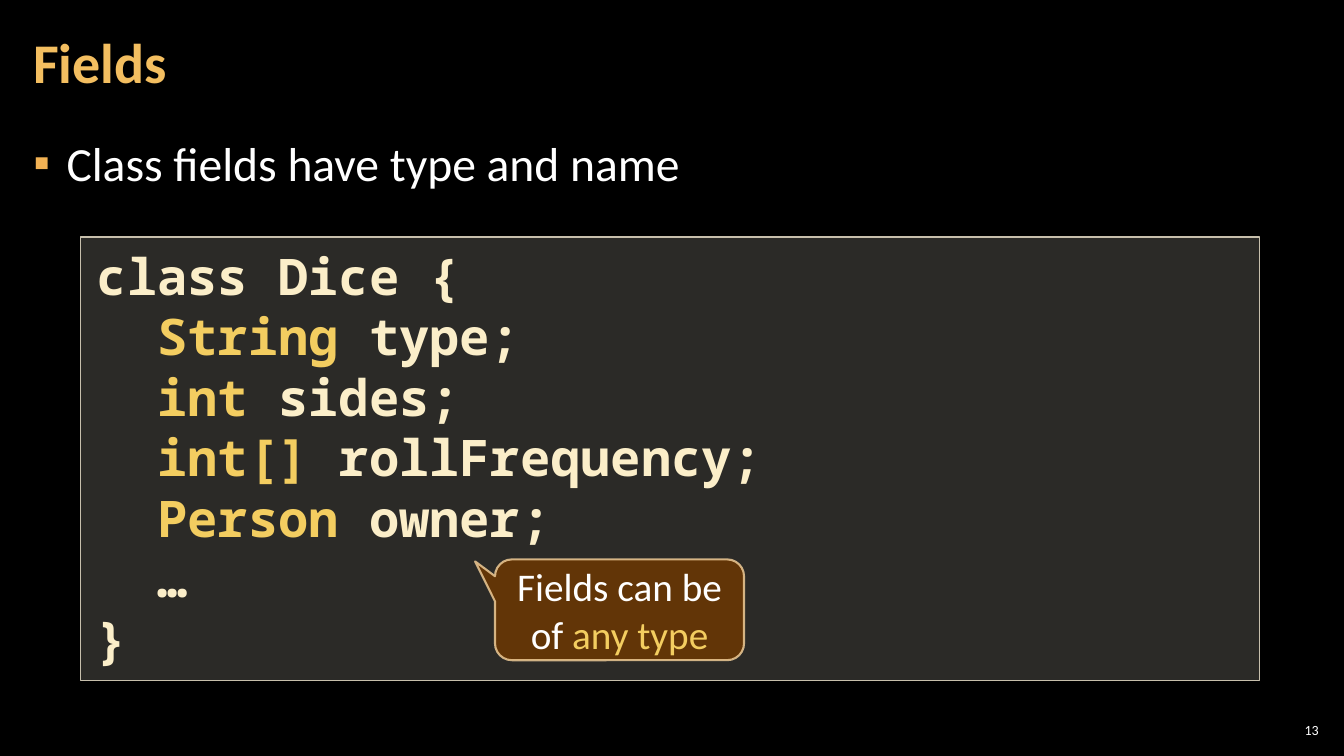
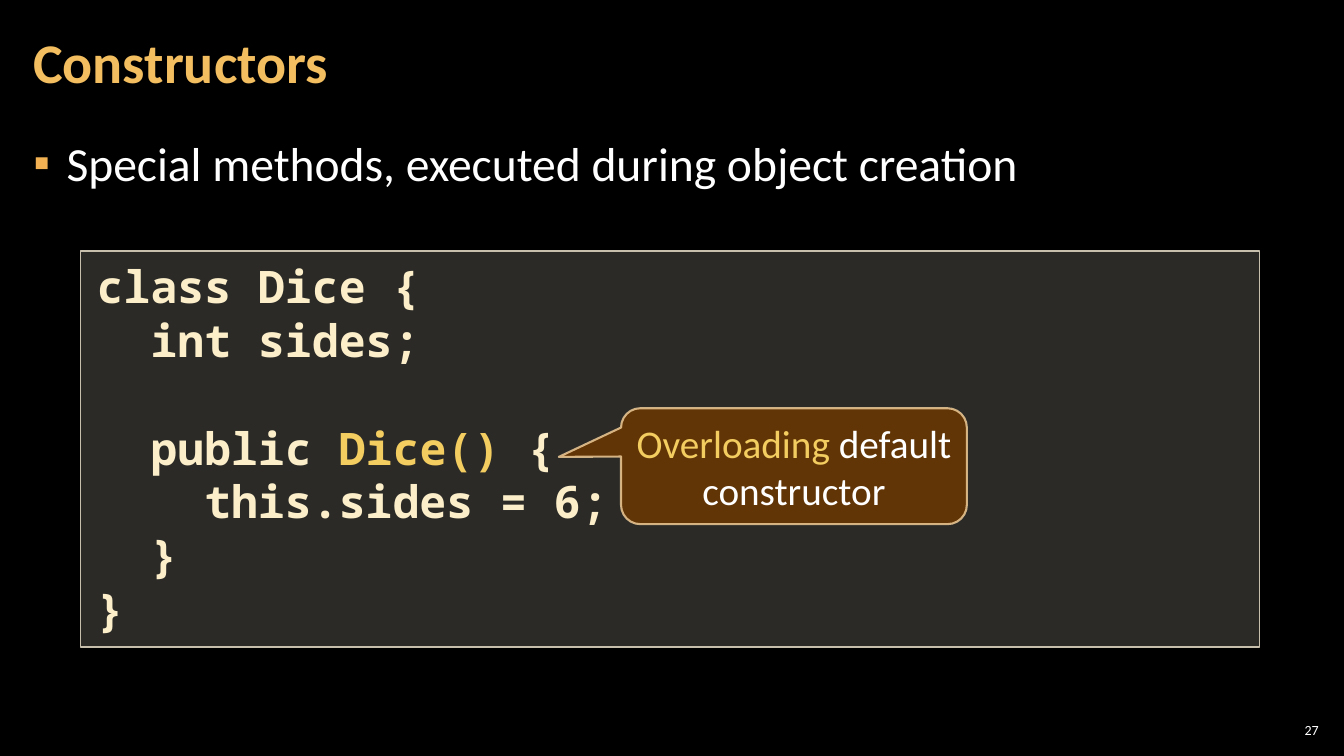
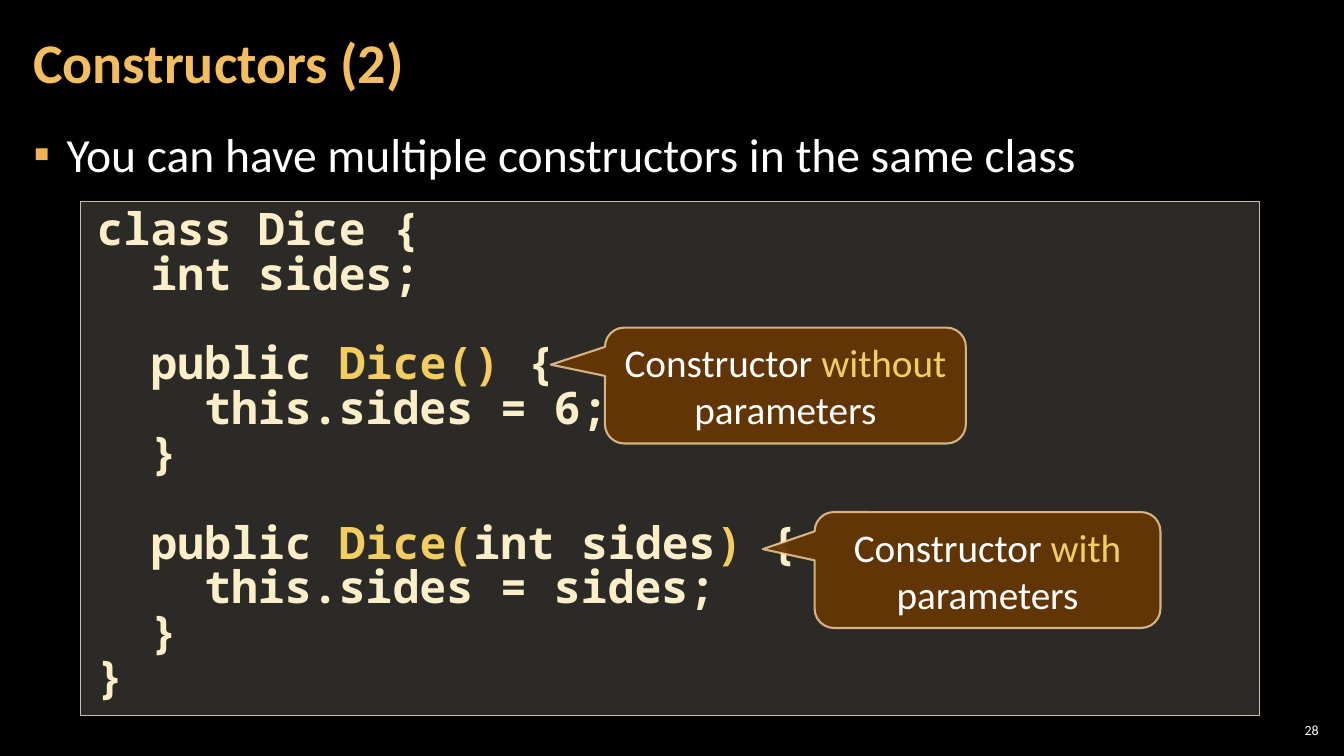
"""Three slides on class fields and constructors."""
import lxml.etree
import pptx
import pptx.dml.color
import pptx.enum.shapes
import pptx.enum.text
import pptx.oxml.ns
import pptx.util

Inches, Pt = pptx.util.Inches, pptx.util.Pt
SHAPE = pptx.enum.shapes.MSO_SHAPE
ANCHOR = pptx.enum.text.MSO_ANCHOR
ALIGN = pptx.enum.text.PP_ALIGN
qn = pptx.oxml.ns.qn

BLACK, WHITE = "000000", "FFFFFF"
TITLE, BULLET = "F3BE60", "F2B254"
CODE, ACCENT = "FBEEC9", "F3CD60"
BOX_FILL, BOX_LINE = "D9D5C7", "C7BFAC"
CALLOUT_FILL, CALLOUT_LINE = "663606", "F8D49E"
SANS, MONO = "Calibri", "Noto Sans Mono"

FIELDS = """class Dice {
  |String| type;
  |int| sides;
  |int[]| rollFrequency;
  |Person| owner;
  …
}"""

DEFAULT = """class Dice {
  int sides;

  public |Dice()| {
    this.sides = 6;
  }
"""

WITH_PARAMETERS = """
  public |Dice(|int sides|)| {
    this.sides = sides;
  }
"""


def rgb(color):
    """Turn a hex string into a colour."""
    return pptx.dml.color.RGBColor.from_string(color)


def place(sp, left, top, width, height):
    """Move and size a shape, in inches."""
    sp.left, sp.top = Inches(left), Inches(top)
    sp.width, sp.height = Inches(width), Inches(height)


def frame(sp, x, y, anchor):
    """Set the insets and anchor of a shape and return its text frame."""
    tf = sp.text_frame
    tf.word_wrap = True
    tf.auto_size = pptx.enum.text.MSO_AUTO_SIZE.NONE
    tf.vertical_anchor = anchor
    tf.margin_left = tf.margin_right = Inches(x)
    tf.margin_top = tf.margin_bottom = Inches(y)
    return tf


def add_runs(p, text, size, color, font=SANS, bold=False, align=ALIGN.LEFT):
    """Add text run by run; parts between bars take the accent colour."""
    p.alignment = align
    for i, part in enumerate(text.split("|")):
        if part:
            r = p.add_run()
            r.text = part
            r.font.name, r.font.size, r.font.bold = font, Pt(size), bold
            r.font.color.rgb = rgb(ACCENT if i % 2 else color)


def paint(sp, fill, line, width, fill_alpha, line_alpha=100):
    """Give a shape its fill, line and opacity in percent."""
    sp.shadow.inherit = False
    sp.fill.solid()
    sp.fill.fore_color.rgb = rgb(fill)
    sp.line.color.rgb = rgb(line)
    sp.line.width = Pt(width)
    colors = sp.element.spPr.iter(qn("a:srgbClr"))
    for clr, alpha in zip(list(colors), (fill_alpha, line_alpha)):
        lxml.etree.SubElement(clr, qn("a:alpha"), val=str(alpha * 1000))


def add_bullet(p):
    """Give a paragraph a hanging square bullet."""
    pPr = p._p.get_or_add_pPr()
    pPr.set("marL", str(Inches(0.33)))
    pPr.set("indent", str(-Inches(0.33)))
    clr = lxml.etree.SubElement(pPr, qn("a:buClr"))
    lxml.etree.SubElement(clr, qn("a:srgbClr"), val=BULLET)
    lxml.etree.SubElement(pPr, qn("a:buChar"), char="▪")


def add_slide(prs, title, bullet, number, body_top=1.26):
    """Add a slide with its title, bullet and number."""
    s = prs.slides.add_slide(prs.slide_layouts[1])
    sp = s.shapes.title
    place(sp, 0.21, 0.04, 10.47, 1.21)
    p = frame(sp, 0.12, 0.04, ANCHOR.MIDDLE).paragraphs[0]
    p.line_spacing = 0.9
    add_runs(p, title, 40, TITLE, bold=True)

    sp = s.placeholders[1]
    place(sp, 0.21, body_top, 12.91, 6.09)
    p = frame(sp, 0.12, 0.04, ANCHOR.TOP).paragraphs[0]
    p.line_spacing = 1.05
    p.space_before = p.space_after = Pt(6)
    add_bullet(p)
    add_runs(p, bullet, 34, WHITE)

    sp = s.shapes.add_textbox(*map(Inches, (12.65, 7.14, 0.47, 0.21)))
    p = frame(sp, 0.04, 0.04, ANCHOR.MIDDLE).paragraphs[0]
    add_runs(p, str(number), 10, WHITE, align=ALIGN.RIGHT)
    return s


def add_code(s, code, top, height, size, pitch=None):
    """Add a code box; margins make the indents and spacing the empty lines."""
    sp = s.shapes.add_shape(SHAPE.RECTANGLE, *map(Inches, (0.8, top, 11.69, height)))
    paint(sp, BOX_FILL, BOX_LINE, 1, 20)
    tf = frame(sp, 0.16, 0.08, ANCHOR.TOP)
    p, gap = tf.paragraphs[0], False
    for i, line in enumerate(code.split("\n")):
        if not line:
            gap = True
            continue
        if i:
            p = tf.add_paragraph()
        text = line.lstrip()
        indent = len(line) - len(text)
        p._p.get_or_add_pPr().set("marL", str(Pt(indent * size * 0.6)))
        if pitch:
            p.line_spacing = Pt(pitch)
        if gap:
            p.space_before = Pt(pitch or size * 1.2)
        gap = False
        add_runs(p, text, size, CODE, MONO, True)


def add_callout(s, text, left, top, width, height, tip):
    """Add a rounded callout whose tip is given relative to its centre."""
    sp = s.shapes.add_shape(SHAPE.ROUNDED_RECTANGULAR_CALLOUT,
                            *map(Inches, (left, top, width, height)))
    sp.adjustments[0], sp.adjustments[1] = tip
    paint(sp, CALLOUT_FILL, CALLOUT_LINE, 1.5, 95, 80)
    p = frame(sp, 0.1, 0.05, ANCHOR.MIDDLE).paragraphs[0]
    add_runs(p, text, 28, WHITE, align=ALIGN.CENTER)


def main():
    """Build and save the slides."""
    prs = pptx.Presentation()
    prs.slide_width, prs.slide_height = Inches(13.33), Inches(7.5)
    background = prs.slide_master.background.fill
    background.solid()
    background.fore_color.rgb = rgb(BLACK)

    s = add_slide(prs, "Fields", "Class fields have type and name", 13)
    add_code(s, FIELDS, 2.35, 4.4, 36)
    add_callout(s, "Fields can be of |any type|", 4.91, 5.55, 2.47, 1, (-0.58, -0.48))

    s = add_slide(prs, "Constructors",
                  "Special methods, executed during object creation", 27)
    add_code(s, DEFAULT + "}", 2.49, 3.93, 32)
    add_callout(s, "|Overloading| default constructor", 6.16, 4.05, 3.43, 1.15,
                (-0.68, -0.08))

    s = add_slide(prs, "Constructors (2)",
                  "You can have multiple constructors in the same class", 28, 1.17)
    add_code(s, DEFAULT + WITH_PARAMETERS + "}", 2, 5.1, 32, 32)
    tip = (-0.65, -0.18)
    add_callout(s, "Constructor |with| parameters", 8.08, 5.08, 3.43, 1.15, tip)
    add_callout(s, "Constructor |without| parameters", 6, 3.25, 3.58, 1.15, tip)

    prs.save("out.pptx")


if __name__ == "__main__":
    main()
